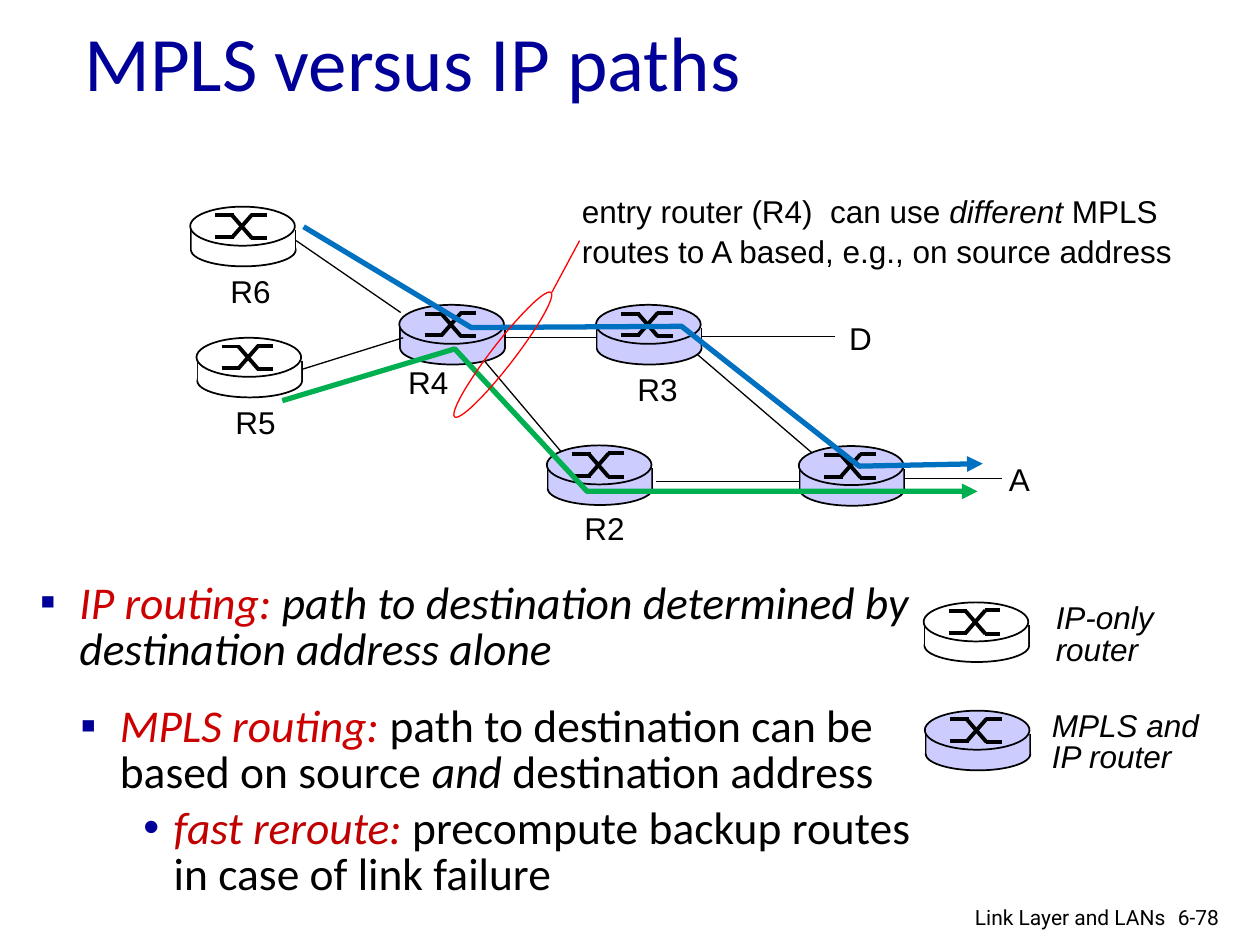
from lxml.etree import SubElement
from pptx import Presentation
from pptx.dml.color import RGBColor
from pptx.enum.shapes import MSO_CONNECTOR, MSO_SHAPE
from pptx.enum.text import MSO_ANCHOR, MSO_AUTO_SIZE, PP_ALIGN
from pptx.oxml.ns import qn
from pptx.util import Pt

BLACK = RGBColor(0x00, 0x00, 0x00)
WHITE = RGBColor(0xFF, 0xFF, 0xFF)
LILAC = RGBColor(0xCC, 0xCC, 0xFF)
NAVY = RGBColor(0x00, 0x00, 0x99)
CRIMSON = RGBColor(0xCC, 0x00, 0x00)
BRICK = RGBColor(0xC0, 0x00, 0x00)
RED = RGBColor(0xFF, 0x00, 0x00)
BLUE = RGBColor(0x00, 0x70, 0xC0)
GREEN = RGBColor(0x00, 0xB0, 0x50)

ROUTERS = [
    (456.5, 254.9, LILAC), (312.5, 254.5, LILAC), (340.6, 174.2, LILAC),
    (228.2, 174.2, LILAC), (108.7, 118.1, WHITE), (112.3, 193, WHITE),
    (527.8, 344.2, WHITE), (528.5, 406.1, LILAC),
]
MARKS = [
    (14.4, 5, 25, 5), (34.8, 18, 43.9, 18), (24, 5, 35.3, 18),
    (14.4, 17.5, 25, 17.5), (34.8, 4.6, 43.9, 4.6), (24, 17.5, 35.3, 4.6),
]
LINKS = [
    (169.2, 137.5, 229, 178.6), (172.8, 211, 230.4, 193),
    (288.7, 193, 340.6, 193), (276.5, 205.9, 320.4, 257.8),
    (375.1, 275, 457.2, 275), (398.2, 202.3, 463.7, 258.5),
    (517, 273.6, 572.4, 273.6), (401, 192.2, 477.4, 192.2),
]
ROUTES = [
    (BLUE, [(173.5, 129.6), (269.3, 187.2), (389.5, 186.5),
            (491, 266.4), (561.6, 265)]),
    (GREEN, [(161.3, 229), (259.9, 199.4), (335.5, 280.8), (558.7, 280.8)]),
]
LABELS = [
    ("R2", 326.9, 287.3, 37.4), ("D", 478.1, 178.6, 27.4),
    ("R3", 357.1, 208.1, 37.4), ("R4", 226.1, 203.8, 37.4),
    ("R5", 127.4, 226.8, 37.4), ("A", 569.5, 259.2, 26.6),
    ("R6", 124.6, 151.9, 37.4),
]
KEYS = [
    (["IP-only", "router"], (596.2, 342, 71.3, 43.9)),
    (["MPLS and", "IP router"], (594, 403.2, 104.4, 43.9)),
]
NOTE = [("entry router (R4)  can use ", BLACK, False), ("different", BLACK, True),
        (" MPLS routes to A based, e.g., on source address", BLACK, False)]
SQUARE = ("▪", 22.5, -22.5, 0)
DOT = ("•", 53.3, -17.3, 1)
POINTS = [
    ((15.8, 329, 513.4, 180.7), [
        (SQUARE, [("IP routing: ", CRIMSON, True),
                  ("path to destination determined by destination address alone",
                   BLACK, True)])]),
    ((38.9, 399.6, 503.3, 121.7), [
        (SQUARE, [("MPLS routing: ", CRIMSON, True),
                  ("path to destination can be based on source ", BLACK, False),
                  ("and ", BLACK, True),
                  ("destination address", BLACK, False)]),
        (DOT, [("fast reroute: ", BRICK, True),
               ("precompute backup routes in case of link failure",
                BLACK, False)])]),
]
FOOT = [
    ("6-78", (666, 513.4, 43.2, 21.6), PP_ALIGN.LEFT),
    ("Link Layer and LANs", (501.8, 513.4, 171.4, 18.7), PP_ALIGN.RIGHT),
]

deck = Presentation()
deck.slide_width, deck.slide_height = Pt(720), Pt(540)
slide = deck.slides.add_slide(deck.slide_layouts[5])


def pts(*nums):
    return [Pt(n) for n in nums]


def line(home, ends, color=BLACK, width=0.75):
    wire = home.add_connector(MSO_CONNECTOR.STRAIGHT, *pts(*ends))
    wire.line.color.rgb = color
    wire.line.width = Pt(width)
    SubElement(wire._element.spPr, qn("a:effectLst"))


def shape(home, kind, box, fill=None, edge=None, width=1):
    form = home.add_shape(kind, *pts(*box))
    form.shadow.inherit = False
    if fill is None:
        form.fill.background()
    else:
        form.fill.solid()
        form.fill.fore_color.rgb = fill
    if edge is None:
        form.line.fill.background()
    else:
        form.line.color.rgb = edge
        form.line.width = Pt(width)
    return form


def router(x, y, fill):
    parts = slide.shapes.add_group_shape().shapes
    shape(parts, MSO_SHAPE.OVAL, (x + 0.5, y + 15.4, 59.8, 18.7), fill, BLACK)
    for side in (0.5, 60.2):
        line(parts, (x + side, y + 13.2, x + side, y + 25.2), width=1)
    shape(parts, MSO_SHAPE.RECTANGLE, (x + 0.8, y + 13.4, 59, 11.5), fill)
    shape(parts, MSO_SHAPE.OVAL, (x, y, 59.8, 22.3), fill, BLACK)
    for a, b, c, d in MARKS:
        line(parts, (x + a, y + b, x + c, y + d), width=2.25)


def route(color, spots):
    spots = [pts(*spot) for spot in spots]
    build = slide.shapes.build_freeform(*spots[0])
    build.add_line_segments(spots[1:], close=False)
    form = build.convert_to_shape()
    form.shadow.inherit = False
    form.fill.background()
    form.line.color.rgb = color
    form.line.width = Pt(3)
    SubElement(form.line._get_or_add_ln(), qn("a:tailEnd"), type="triangle")


def mark(para, sign, left, hang, level):
    para.level = level
    para.space_before = Pt(5.2)
    props = para._p.get_or_add_pPr()
    props.set("marL", str(Pt(left)))
    props.set("indent", str(Pt(hang)))
    tint = SubElement(props, qn("a:buClr"))
    SubElement(tint, qn("a:srgbClr"), val=str(NAVY))
    SubElement(props, qn("a:buFont"), typeface="Arial")
    SubElement(props, qn("a:buChar"), char=sign)


def text(paras, box, size=18, font="Arial", wrap=True, align=PP_ALIGN.LEFT,
         space=None, bullets=(), fit=MSO_AUTO_SIZE.NONE,
         anchor=MSO_ANCHOR.TOP, form=None):
    form = form or slide.shapes.add_textbox(0, 0, 0, 0)
    form.left, form.top, form.width, form.height = pts(*box)
    frame = form.text_frame
    frame.word_wrap = wrap
    frame.auto_size = fit
    frame.vertical_anchor = anchor
    for i, runs in enumerate(paras):
        para = frame.add_paragraph() if i else frame.paragraphs[0]
        para.alignment = align
        if space:
            para.line_spacing = space
        if bullets:
            mark(para, *bullets[i])
        for words, color, slant in runs:
            run = para.add_run()
            run.text = words
            run.font.size = Pt(size)
            run.font.name = font
            run.font.italic = slant
            run.font.color.rgb = color


GROW = MSO_AUTO_SIZE.SHAPE_TO_FIT_TEXT
text([[("MPLS versus IP paths", NAVY, False)]], (41, 11.5, 612, 46.1), size=44,
     font="Calibri", anchor=MSO_ANCHOR.MIDDLE, form=slide.shapes.title)
for place in ROUTERS:
    router(*place)
for ends in LINKS:
    line(slide.shapes, ends)
for name, x, y, wide in LABELS:
    text([[(name, BLACK, False)]], (x, y, wide, 28.8), wrap=False, fit=GROW)
for color, spots in ROUTES:
    route(color, spots)
for rows, box in KEYS:
    text([[(row, BLACK, True)] for row in rows], box, wrap=False,
         space=Pt(18), fit=GROW)
for box, items in POINTS:
    text([runs for _, runs in items], box, size=26, font="Calibri",
         space=0.85, bullets=[sign for sign, _ in items])
ring = shape(slide.shapes, MSO_SHAPE.OVAL, (280.8, 157.7, 13, 90),
             edge=RED, width=0.75)
ring.rotation = 37.7
line(slide.shapes, (315.4, 167, 331.2, 137.5), RED)
text([NOTE], (325.4, 105.1, 373.7, 51.1), space=1.05, fit=GROW)
for words, box, align in FOOT:
    text([[(words, BLACK, False)]], box, size=12, font="Roboto", align=align)

deck.save("out.pptx")
